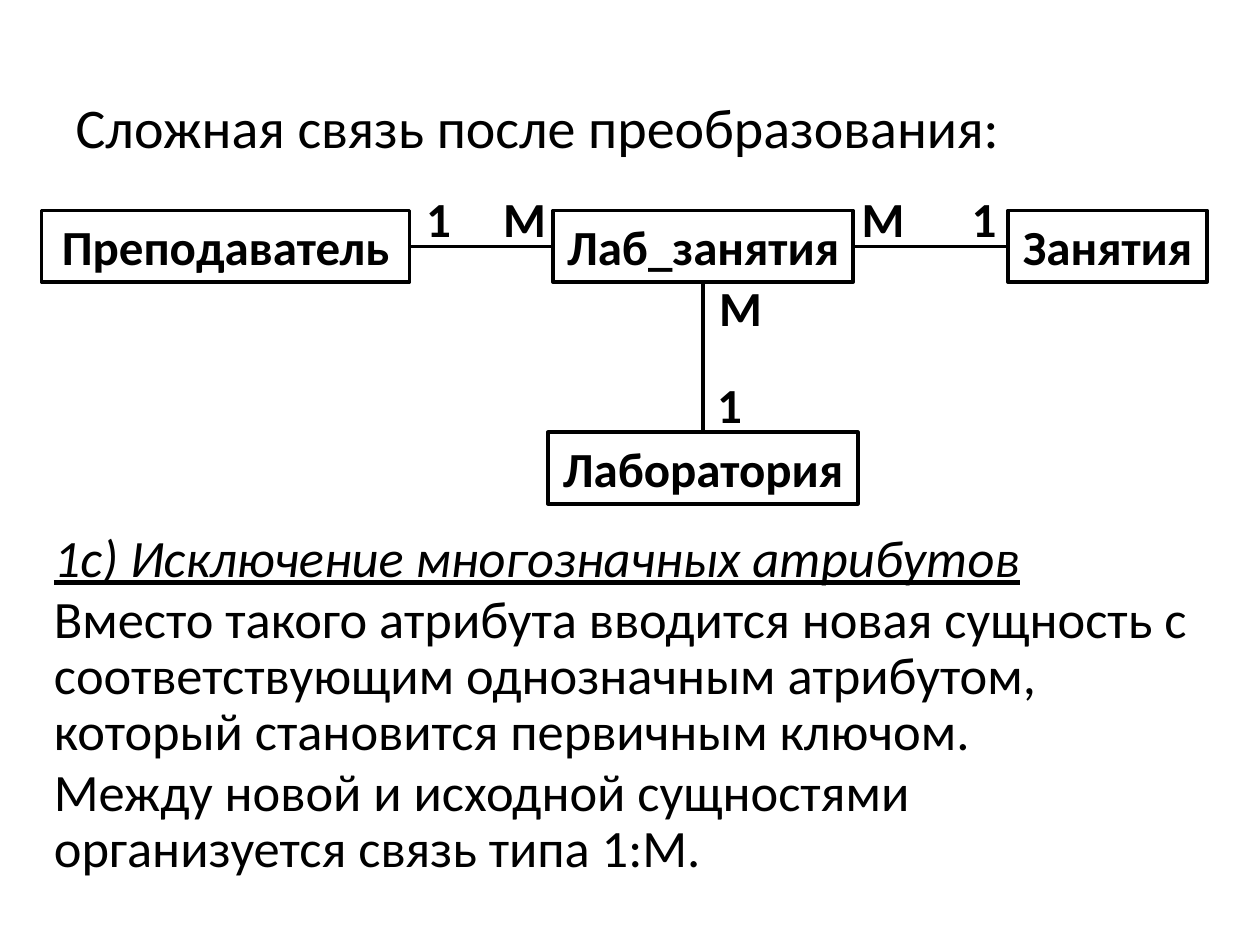
from lxml import etree
from pptx import Presentation
from pptx.dml.color import RGBColor
from pptx.enum.shapes import MSO_CONNECTOR, MSO_SHAPE
from pptx.enum.text import MSO_ANCHOR, PP_ALIGN
from pptx.oxml.ns import qn
from pptx.util import Inches, Pt

LEFT, CENTER, RIGHT = PP_ALIGN.LEFT, PP_ALIGN.CENTER, PP_ALIGN.RIGHT
TOP, MIDDLE = MSO_ANCHOR.TOP, MSO_ANCHOR.MIDDLE
RECTANGLE, STRAIGHT = MSO_SHAPE.RECTANGLE, MSO_CONNECTOR.STRAIGHT
BLACK = "000000"
ROW_H = 0.57
LABEL = {"size": Pt(28), "bold": True}
BODY = {"size": Pt(30)}
HEADING = {**BODY, "italic": True, "underline": True}


def color(hex_value):
    """Return the colour for a hex string."""
    return RGBColor.from_string(hex_value)


def write(p, text, font, align=LEFT):
    """Write one formatted run into a paragraph."""
    p.alignment = align
    r = p.add_run()
    r.text = text
    r.font.name = "Calibri"
    r.font.color.rgb = color(BLACK)
    for name, value in font.items():
        setattr(r.font, name, value)


def add_title(s, box, text):
    """Place and format the title placeholder."""
    sp = s.shapes.title
    sp.left, sp.top, sp.width, sp.height = map(Inches, box)
    sp.text_frame.vertical_anchor = MIDDLE
    write(sp.text_frame.paragraphs[0], text, {"size": Pt(32)})


def add_entity(s, box, text):
    """Add an outlined entity rectangle and return it."""
    sp = s.shapes.add_shape(RECTANGLE, *map(Inches, box))
    sp.shadow.inherit = False
    sp.fill.background()
    sp.line.color.rgb = color(BLACK)
    sp.line.width = Pt(2)
    tf = sp.text_frame
    tf.vertical_anchor = TOP
    tf.word_wrap = True
    write(tf.paragraphs[0], text, LABEL, CENTER)
    return sp


def add_link(s, start, start_side, end, end_side):
    """Join two entities with a straight connector."""
    line = s.shapes.add_connector(STRAIGHT, 0, 0, 0, 0)
    line.begin_connect(start, start_side)
    line.end_connect(end, end_side)
    line.line.color.rgb = color(BLACK)
    line.line.width = Pt(2)
    etree.SubElement(line._element.spPr, qn("a:effectLst"))


def add_text(s, box, paragraphs, align=LEFT, **spacing):
    """Add a wrapping text box with one paragraph per text and font pair."""
    tf = s.shapes.add_textbox(*map(Inches, box)).text_frame
    tf.word_wrap = True
    for i, (text, font) in enumerate(paragraphs):
        p = tf.add_paragraph() if i else tf.paragraphs[0]
        for name, value in spacing.items():
            setattr(p, name, value)
        write(p, text, font, align)


def add_diagram(s, box):
    """Draw the entities, their links and the cardinalities."""
    left, top = box
    entities = {
        name: add_entity(s, (left + x, top + y, w, ROW_H), name)
        for name, x, y, w in [
            ("Преподаватель", 0, 0.22, 2.92),
            ("Лаб_занятия", 4.06, 0.22, 2.38),
            ("Занятия", 7.67, 0.22, 1.58),
            ("Лаборатория", 4.02, 1.98, 2.46),
        ]
    }
    teacher, lab_class, lesson, laboratory = entities.values()
    add_link(s, teacher, 3, lab_class, 1)
    add_link(s, lab_class, 3, lesson, 1)
    add_link(s, lab_class, 2, laboratory, 0)
    for text, x, y, w, align in [
        ("1", 2.84, 0, 0.62, CENTER),
        ("М", 3.48, 0, 0.62, RIGHT),
        ("M", 6.41, 0, 0.83, LEFT),
        ("1", 7.17, 0, 0.62, CENTER),
        ("M", 5.28, 0.7, 0.83, LEFT),
        ("1", 5.15, 1.47, 0.62, CENTER),
    ]:
        add_text(s, (left + x, top + y, w, ROW_H), [(text, LABEL)], align)


def main():
    """Build and save the slide."""
    prs = Presentation()
    prs.slide_width, prs.slide_height = Inches(10), Inches(7.5)
    s = prs.slides.add_slide(prs.slide_layouts[5])
    add_title(s, (0.5, 0.68, 7.92, 0.64), "Сложная связь после преобразования:")
    add_diagram(s, (0.33, 1.45))
    add_text(s, (0.33, 4.17, 9.33, 2.85), [
        ("1с) Исключение многозначных атрибутов", HEADING),
        ("Вместо такого атрибута вводится новая сущность с соответствующим "
         "однозначным атрибутом, который становится первичным ключом.", BODY),
        ("Между новой и исходной сущностями организуется связь типа 1:М.", BODY),
    ], line_spacing=Pt(32), space_before=Pt(3))
    prs.save("out.pptx")


if __name__ == "__main__":
    main()
